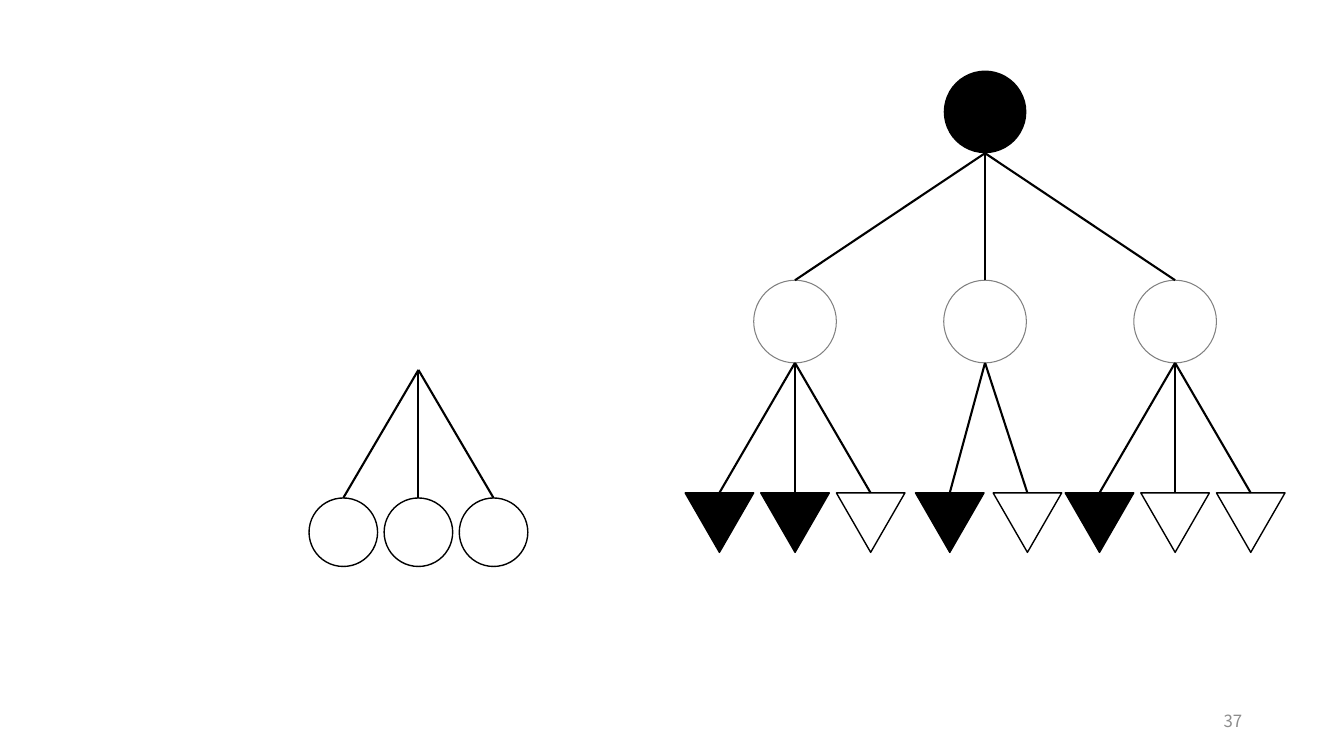
from pptx import Presentation
from pptx.dml.color import RGBColor
from pptx.enum.shapes import MSO_CONNECTOR, MSO_SHAPE
from pptx.enum.text import MSO_ANCHOR, PP_ALIGN
from pptx.oxml.ns import qn
from pptx.util import Inches, Pt
from lxml import etree

CIRCLE, TRIANGLE = MSO_SHAPE.OVAL, MSO_SHAPE.ISOSCELES_TRIANGLE
STRAIGHT = MSO_CONNECTOR.STRAIGHT
RIGHT, MIDDLE = PP_ALIGN.RIGHT, MSO_ANCHOR.MIDDLE

# Content: leaves are (offset from the parent's centre, filled or not)
PAGE_NUMBER = "37"
BRANCHES = [
    [(-0.75, True), (0, True), (0.75, False)],
    [(-0.35, True), (0.42, False)],
    [(-0.75, True), (0, False), (0.75, False)],
]
SMALL_TREE_OFFSETS = [-0.745, 0, 0.745]

THEME = {
    "black": RGBColor(0, 0, 0),
    "white": RGBColor(255, 255, 255),
    "gray": RGBColor(0x80, 0x80, 0x80),
    "number": RGBColor(0x8C, 0x8C, 0x8C),
    "font": "Noto Sans CJK JP",
    "number_size": 12,
    "edge": 1.5,
    "leaf_outline": 1,
    "node_outline": 0.75,
}

# Layout in inches
ROOT_X, ROOT_TOP = 9.77, 0.7
BRANCH_STEP, BRANCH_TOP = 1.885, 2.78
NODE_SIZE = 0.82
LEAF_TOP, LEAF_WIDTH, LEAF_HEIGHT = 4.89, 0.68, 0.59
SMALL_X, SMALL_APEX, SMALL_TOP = 4.15, 3.67, 4.94

presentation = Presentation()
presentation.slide_width, presentation.slide_height = Inches(13.33), Inches(7.5)
slide = presentation.slides.add_slide(presentation.slide_layouts[6])


def add_text(text, left, top, width, height, *, size, color, align):
    box = slide.shapes.add_textbox(Inches(left), Inches(top), Inches(width), Inches(height))
    frame = box.text_frame
    frame.word_wrap = True
    frame.vertical_anchor = MIDDLE
    paragraph = frame.paragraphs[0]
    paragraph.alignment = align
    run = paragraph.add_run()
    run.text = text
    run.font.name = THEME["font"]
    run.font.size = Pt(size)
    run.font.color.rgb = color


def add_node(kind, center, top, width, height, fill=None, line=None, weight=1):
    """Add a node centred on an x position; no fill or line when None."""
    shape = slide.shapes.add_shape(
        kind, Inches(center - width / 2), Inches(top), Inches(width), Inches(height))
    shape.shadow.inherit = False
    if fill is None:
        shape.fill.background()
    else:
        shape.fill.solid()
        shape.fill.fore_color.rgb = fill
    if line is None:
        shape.line.fill.background()
    else:
        shape.line.color.rgb = line
        shape.line.width = Pt(weight)
    return shape


def add_edge(child_x, child_y, parent_x, parent_y, child=None):
    edge = slide.shapes.add_connector(
        STRAIGHT, Inches(child_x), Inches(child_y), Inches(parent_x), Inches(parent_y))
    edge.line.color.rgb = THEME["black"]
    edge.line.width = Pt(THEME["edge"])
    etree.SubElement(edge._element.spPr, qn("a:effectLst"))
    if child is not None:
        edge.begin_connect(child, 0)


# Large tree: root, branches and leaves
add_node(CIRCLE, ROOT_X, ROOT_TOP, NODE_SIZE, NODE_SIZE, THEME["black"])
for index, leaves in enumerate(BRANCHES):
    branch_x = ROOT_X + (index - 1) * BRANCH_STEP
    branch = add_node(CIRCLE, branch_x, BRANCH_TOP, NODE_SIZE, NODE_SIZE,
                      THEME["white"], THEME["gray"], THEME["node_outline"])
    add_edge(branch_x, BRANCH_TOP, ROOT_X, ROOT_TOP + NODE_SIZE, branch)
    for offset, filled in leaves:
        leaf_x = branch_x + offset
        leaf = add_node(TRIANGLE, leaf_x, LEAF_TOP, LEAF_WIDTH, LEAF_HEIGHT,
                        THEME["black"] if filled else None,
                        THEME["black"], THEME["leaf_outline"])
        leaf.rotation = 180
        add_edge(leaf_x, LEAF_TOP, branch_x, BRANCH_TOP + NODE_SIZE)

# Small tree: three circles under one apex
for offset in SMALL_TREE_OFFSETS:
    circle_x = SMALL_X + offset
    circle = add_node(CIRCLE, circle_x, SMALL_TOP, LEAF_WIDTH, LEAF_WIDTH,
                      THEME["white"], THEME["black"], THEME["leaf_outline"])
    add_edge(circle_x, SMALL_TOP, SMALL_X, SMALL_APEX, circle)

# Page number
add_text(PAGE_NUMBER, 9.42, 6.95, 3, 0.4,
         size=THEME["number_size"], color=THEME["number"], align=RIGHT)

presentation.save("out.pptx")
